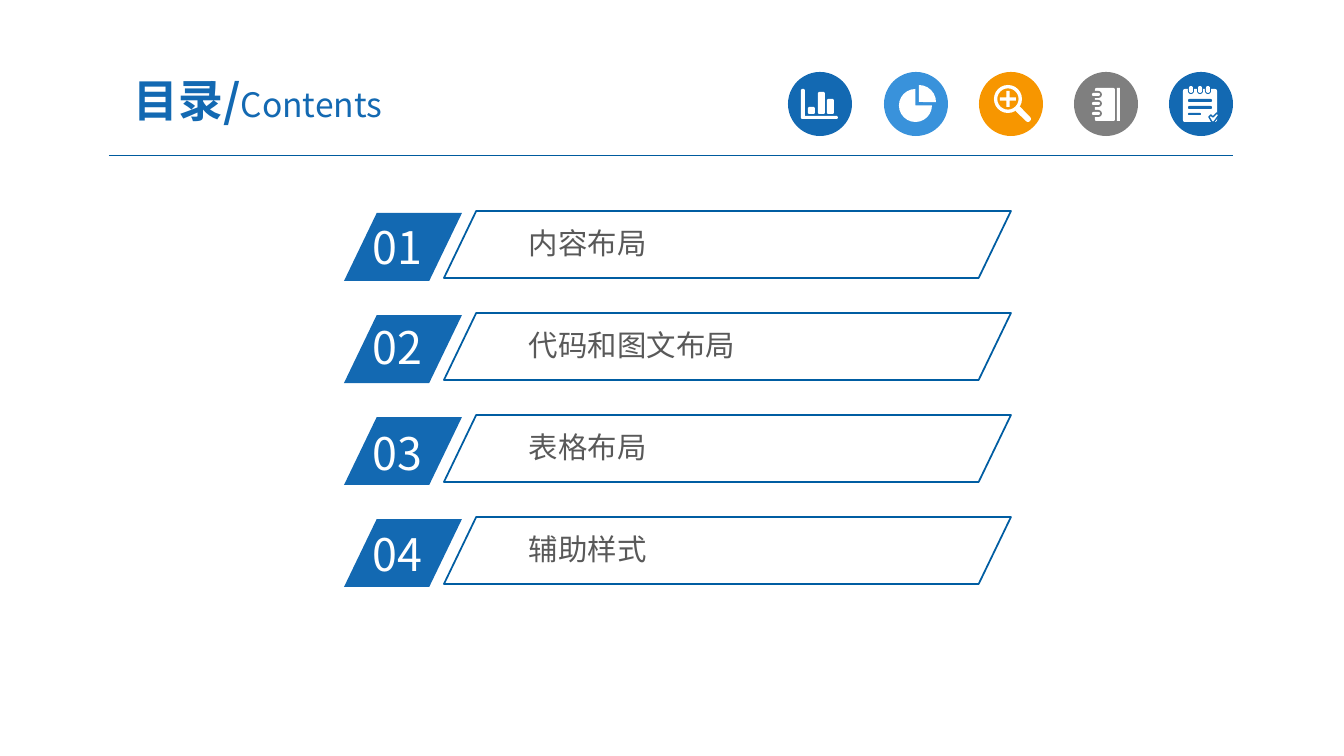
from dataclasses import dataclass
from math import ceil

from lxml.etree import SubElement
from pptx import Presentation
from pptx.dml.color import RGBColor
from pptx.enum.shapes import MSO_CONNECTOR, MSO_SHAPE
from pptx.enum.text import MSO_ANCHOR, MSO_AUTO_SIZE, PP_ALIGN
from pptx.oxml.ns import qn
from pptx.util import Pt

SCALE = 914400 / 100.8
RECT, ROUND, OVAL = MSO_SHAPE.RECTANGLE, MSO_SHAPE.ROUNDED_RECTANGLE, MSO_SHAPE.OVAL
SLANT, PIE = MSO_SHAPE.PARALLELOGRAM, MSO_SHAPE.PIE


@dataclass(frozen=True)
class Theme:
    """Colours, font and type sizes of the slide."""
    font: str = "Noto Sans CJK SC"
    blue: str = "1369B2"
    sky: str = "3992DB"
    orange: str = "F79600"
    gray: str = "7F7F7F"
    white: str = "FFFFFF"
    body: str = "595959"
    outline: str = "005DA2"
    rule: str = "005B9E"
    title: int = 32
    subtitle: int = 24
    number: int = 32
    label: int = 21
    slant: float = 0.482


T = Theme()


def px(n):
    """Turn pixels into EMU."""
    return round(n * SCALE)


def rgb(color):
    """Turn a hex string into a colour."""
    return RGBColor.from_string(color)


def paint(sp, fill=None, line=None, width=1):
    """Set the fill and line of a shape and drop its shadow."""
    sp.shadow.inherit = False
    if fill:
        sp.fill.solid()
        sp.fill.fore_color.rgb = rgb(fill)
    else:
        sp.fill.background()
    if line:
        sp.line.color.rgb = rgb(line)
        sp.line.width = Pt(width)
    else:
        sp.line.fill.background()


def add_shape(shapes, kind, box, fill=None, line=None, width=1, adj=(), turn=0):
    """Add a preset shape in a pixel box."""
    sp = shapes.add_shape(kind, *map(px, box))
    for i, value in enumerate(adj):
        sp.adjustments[i] = value
    sp.rotation = turn
    paint(sp, fill, line, width)
    return sp


def add_outline(shapes, x, y, contours, line=None):
    """Add one white freeform made of closed contours."""
    paths = [[(px(x + dx), px(y + dy)) for dx, dy in points] for points in contours]
    fb = shapes.build_freeform(*paths[0][0])
    for i, path in enumerate(paths):
        if i:
            fb.move_to(*path[0])
        fb.add_line_segments(path[1:], close=True)
    paint(fb.convert_to_shape(), T.white, line)


def add_text(shapes, box, runs, inset=(10, 5), align=PP_ALIGN.LEFT,
             anchor=MSO_ANCHOR.TOP, grow=True):
    """Add one paragraph of (text, size, colour, bold) runs."""
    tf = shapes.add_textbox(*map(px, box)).text_frame
    tf.word_wrap = True
    tf.auto_size = MSO_AUTO_SIZE.SHAPE_TO_FIT_TEXT if grow else MSO_AUTO_SIZE.NONE
    tf.vertical_anchor = anchor
    tf.margin_left = tf.margin_right = px(inset[0])
    tf.margin_top = tf.margin_bottom = px(inset[1])
    p = tf.paragraphs[0]
    p.alignment = align
    for text, size, color, bold in runs:
        r = p.add_run()
        r.text = text
        r.font.name, r.font.size, r.font.bold = T.font, Pt(size), bold
        r.font.color.rgb = rgb(color)
        SubElement(r.font._element, qn("a:ea")).set("typeface", T.font)


def add_parts(shapes, x, y, parts):
    """Add (kind, box, fill, adjustments, rotation) parts from a corner."""
    for kind, (dx, dy, w, h), fill, adj, turn in parts:
        add_shape(shapes, kind, (x + dx, y + dy, w, h), fill, adj=adj, turn=turn)


def chamfer(x, y, w, h):
    """List the corners of a box with its tips cut by one pixel."""
    r, b = x + w, y + h
    return [(x + 1, y), (r - 1, y), (r, y + 1), (r, b - 1),
            (r - 1, b), (x + 1, b), (x, b - 1), (x, y + 1)]


def bars_icon(shapes, x, y, color):
    """Draw the bar chart icon."""
    axes = [(13, 18), (14, 17), (16, 17), (17, 18), (17, 44), (49, 44),
            (50, 45), (50, 46), (49, 47), (14, 47), (13, 46)]
    bars = [(20, 35, 7, 7), (30, 20, 7, 22), (39, 27, 7, 15)]
    add_outline(shapes, x, y, [axes] + [chamfer(*bar) for bar in bars])


def pie_icon(shapes, x, y, color):
    """Draw the pie chart icon."""
    add_parts(shapes, x, y, [(PIE, (15, 17, 33, 33), T.white, (0, 162), 0),
                             (PIE, (18, 13, 34, 34), T.white, (162, 0), 0)])


def zoom_icon(shapes, x, y, color):
    """Draw the magnifier icon."""
    add_parts(shapes, x, y, [(MSO_SHAPE.DONUT, (15, 13, 28, 28), T.white, (0.12,), 0),
                             (MSO_SHAPE.CROSS, (21, 19, 16, 16), T.white, (0.4,), 0),
                             (ROUND, (34, 39, 20, 6), T.white, (0.5,), 45)])


def notebook_icon(shapes, x, y, color):
    """Draw the notebook icon."""
    parts = [(ROUND, (21, 16, 20, 33), T.white, (0.08,), 0),
             (RECT, (43, 16, 3, 33), T.white, (), 0)]
    for top in (21, 30, 40):
        parts += [(ROUND, (16, top - 2, 12, 7), color, (0.5,), 0),
                  (ROUND, (18, top, 8, 3), T.white, (0.5,), 0)]
    add_parts(shapes, x, y, parts)


def notepad_icon(shapes, x, y, color):
    """Draw the notepad icon."""
    parts = [(ROUND, (14, 17, 34, 33), T.white, (0.06,), 0)]
    for left in (20, 29, 37):
        parts += [(ROUND, (left - 1, 13, 6, 9), color, (0.5,), 0),
                  (ROUND, (left, 14, 4, 7), T.white, (0.5,), 0)]
    lines = [(19, 27, 24, 3), (19, 34, 24, 3), (19, 41, 13, 2)]
    parts += [(ROUND, box, color, (0.5,), 0) for box in lines]
    add_parts(shapes, x, y, parts)
    check = [(40, 45), (42, 43), (44, 45), (48, 41), (50, 43), (45, 50), (43, 50)]
    add_outline(shapes, x, y, [check], color)


def add_icons(s, x, y, w, h):
    """Spread round icons evenly over the box."""
    icons = [(bars_icon, T.blue), (pie_icon, T.sky), (zoom_icon, T.orange),
             (notebook_icon, T.gray), (notepad_icon, T.blue)]
    for i, (icon, color) in enumerate(icons):
        left = x + ceil(i * (w - h) / (len(icons) - 1))
        shapes = s.shapes.add_group_shape().shapes
        add_shape(shapes, OVAL, (left, y, h, h), color)
        icon(shapes, left, y, color)


def add_header(s, x, y, w, h):
    """Place the title, the icons and the rule below them."""
    cn = s.shapes.add_connector(MSO_CONNECTOR.STRAIGHT,
                                *map(px, (x, y + h, x + w, y + h)))
    cn.line.color.rgb = rgb(T.rule)
    cn.line.width = Pt(0.75)
    SubElement(cn._element.spPr, qn("a:effectLst"))
    add_icons(s, x + w - 445, y + 8, 445, 64)
    add_text(s.shapes, (x - 17, y - 1, 332, 73),
             [("目录/", T.title, T.blue, True), ("Contents", T.subtitle, T.blue, False)],
             (13, 7), PP_ALIGN.CENTER, MSO_ANCHOR.MIDDLE, False)


def add_entry(s, x, y, w, h, number, label, nudge):
    """Place one numbered entry of the contents list."""
    shapes = s.shapes.add_group_shape().shapes
    add_shape(shapes, SLANT, (x, y + 2, 118, h), T.blue, adj=(T.slant,))
    add_text(shapes, (x + 19, y + 2 + nudge, 113, 64),
             [(number, T.number, T.white, False)])
    add_text(shapes, (x + 178, y + 10, 415, 43),
             [(label, T.label, T.body, False)], (7, 4))
    add_shape(shapes, SLANT, (x + 100, y, w - 100, h - 1), line=T.outline,
              width=1.25, adj=(T.slant,))


def add_contents(s, x, y, w, h):
    """Stack the entries at an even pitch in the box."""
    entries = [("内容布局", 2), ("代码和图文布局", 0), ("表格布局", 4), ("辅助样式", 3)]
    row = 68
    pitch = (h - row) // (len(entries) - 1)
    for i, (label, nudge) in enumerate(entries):
        add_entry(s, x, y + i * pitch, w, row, f"{i + 1:02}", label, nudge)


def main():
    """Build the contents slide."""
    prs = Presentation()
    prs.slide_width, prs.slide_height = px(1344), px(756)
    s = prs.slides.add_slide(prs.slide_layouts[6])
    add_header(s, 109, 64, 1124, 92)
    add_contents(s, 344, 211, 667, 374)
    prs.save("out.pptx")


if __name__ == "__main__":
    main()
